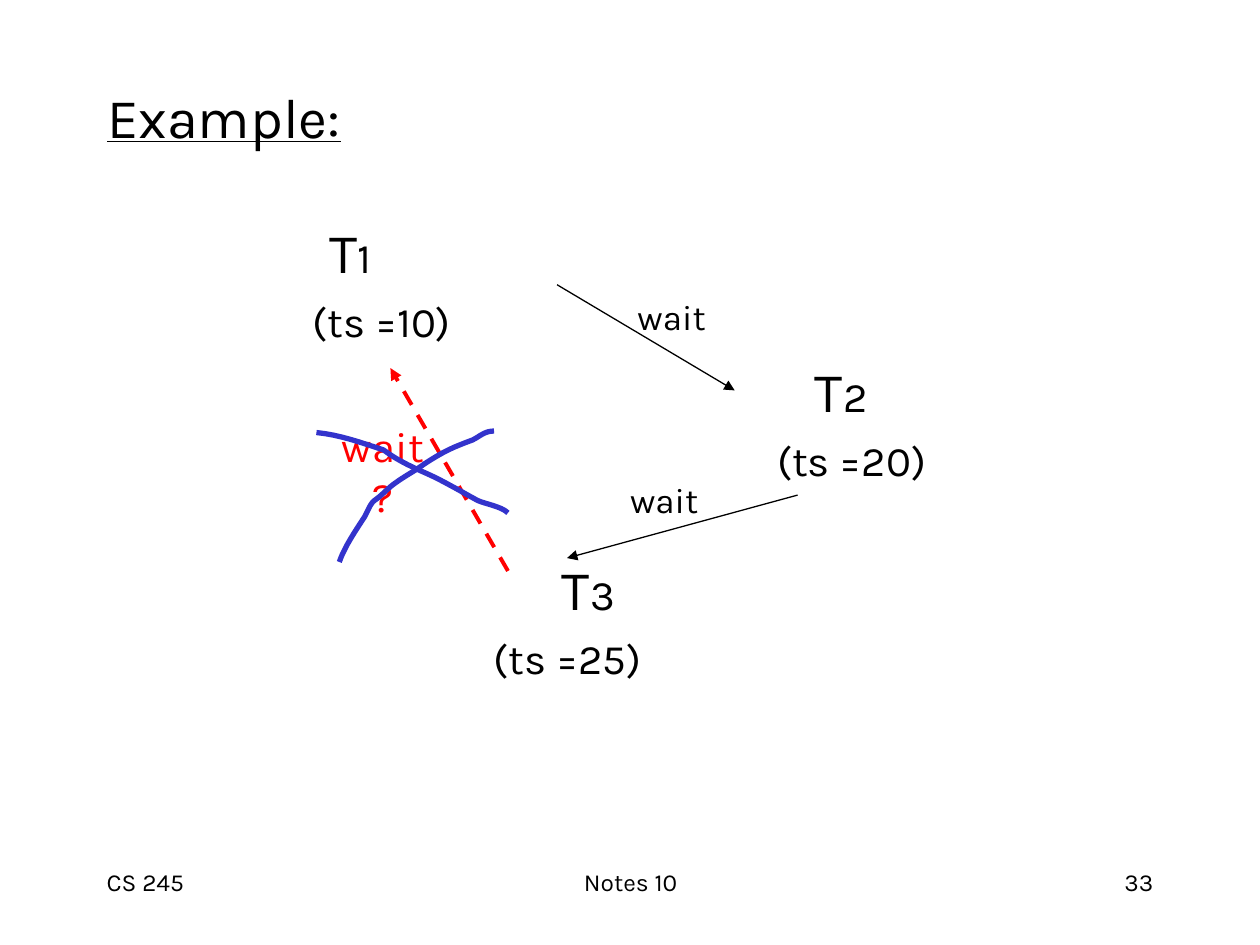
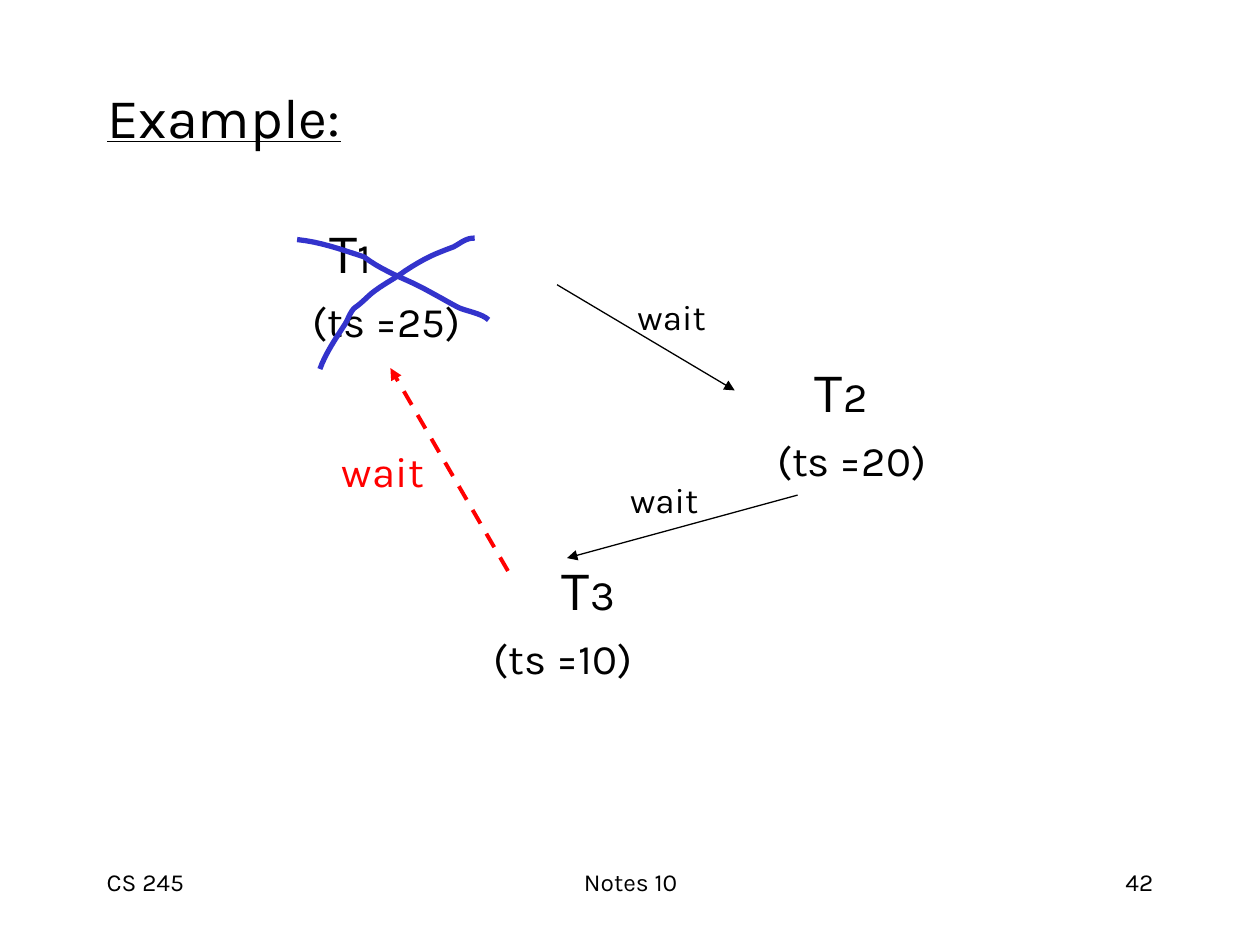
from lxml import etree
from pptx import Presentation
from pptx.dml.color import RGBColor
from pptx.enum.dml import MSO_LINE
from pptx.enum.shapes import MSO_CONNECTOR
from pptx.enum.text import MSO_ANCHOR, PP_ALIGN
from pptx.oxml.ns import qn
from pptx.util import Cm, Pt

BLACK = RGBColor(0x00, 0x00, 0x00)
RED = RGBColor(0xFF, 0x00, 0x00)
BLUE = RGBColor(0x33, 0x33, 0xCC)
FONT = "Karla"
LEFT, CENTER, RIGHT = PP_ALIGN.LEFT, PP_ALIGN.CENTER, PP_ALIGN.RIGHT
TOP, MIDDLE = MSO_ANCHOR.TOP, MSO_ANCHOR.MIDDLE
STRAIGHT = MSO_CONNECTOR.STRAIGHT
DASH = MSO_LINE.DASH

NODE_SIZE, DETAIL_SIZE = 32, 24
ROW_GAP, T3_GAP = 6, 40
NODE_LAYOUT = [
    ("1", 1.31, 0.97, 0),
    ("2", 11.1, 10.34, ROW_GAP),
    ("3", 6, 4.62, T3_GAP),
]

CURVE_STEPS = 8
RISING_STROKE = [
    (0.46, 2.64),
    (0.58, 2.31), (0.79, 2.01), (0.97, 1.73),
    (1.02, 1.65), (1.09, 1.45), (1.17, 1.4),
    (1.32, 1.3), (1.45, 1.14), (1.6, 1.04),
    (1.78, 0.91), (2.01, 0.79), (2.18, 0.66),
    (2.57, 0.41), (2.74, 0.33), (3.15, 0.18),
    (3.3, 0.1), (3.4, 0), (3.58, 0),
]
FALLING_STROKE = [
    (0, 0.03),
    (0.48, 0.08), (0.89, 0.23), (1.35, 0.38),
    (1.65, 0.61), (2.01, 0.76), (2.34, 0.91),
    (2.67, 1.07), (2.95, 1.24), (3.25, 1.4),
    (3.4, 1.47), (3.73, 1.52), (3.86, 1.65),
]


def add_span(para, text, size=DETAIL_SIZE, color=BLACK, underline=False):
    span = para.add_run()
    span.text = text
    span.font.name = FONT
    span.font.size = Pt(size)
    span.font.color.rgb = color
    span.font.underline = underline


def add_box(page, area, anchor=TOP, wrap=True, side_margin=0.25):
    box = page.shapes.add_textbox(*(Cm(value) for value in area))
    frame = box.text_frame
    frame.word_wrap = wrap
    frame.vertical_anchor = anchor
    frame.margin_left = frame.margin_right = Cm(side_margin)
    return frame


def add_text(page, text, area, align=CENTER, anchor=MIDDLE, wrap=False,
             side_margin=0.25, **style):
    frame = add_box(page, area, anchor, wrap, side_margin)
    para = frame.paragraphs[0]
    para.alignment = align
    add_span(para, text, **style)


def add_row(frame, spans, indent, gap):
    first = not frame.paragraphs[0].runs
    para = frame.paragraphs[0] if first else frame.add_paragraph()
    para._p.get_or_add_pPr().set("marL", str(Cm(indent)))
    para.space_before = Pt(gap)
    for text, size in spans:
        add_span(para, text, size)


def add_nodes(page, stamps):
    frame = add_box(page, (5.08, 4.27, 15.67, 11.43))
    for (number, name_indent, stamp_indent, gap), stamp in zip(NODE_LAYOUT, stamps):
        add_row(frame, [("T", NODE_SIZE), (number, DETAIL_SIZE)], name_indent, gap)
        add_row(frame, [(f"(ts ={stamp})", DETAIL_SIZE)], stamp_indent, ROW_GAP)


def add_arrow(page, start, end, color=BLACK, width=0.75, dash=None):
    ends = (Cm(value) for value in (*start, *end))
    arrow = page.shapes.add_connector(STRAIGHT, *ends)
    arrow.line.color.rgb = color
    arrow.line.width = Pt(width)
    if dash:
        arrow.line.dash_style = dash
    etree.SubElement(arrow.line._get_or_add_ln(), qn("a:tailEnd"), type="triangle")
    etree.SubElement(arrow._element.spPr, qn("a:effectLst"))


def curve_points(stroke):
    points = [stroke[0]]
    for first in range(0, len(stroke) - 1, 3):
        controls = stroke[first:first + 4]
        for step in range(1, CURVE_STEPS + 1):
            t = step / CURVE_STEPS
            weights = ((1 - t) ** 3, 3 * t * (1 - t) ** 2, 3 * t ** 2 * (1 - t), t ** 3)
            points.append(tuple(
                sum(weight * value for weight, value in zip(weights, axis))
                for axis in zip(*controls)
            ))
    return points


def add_cross(page, left, top):
    for stroke in (RISING_STROKE, FALLING_STROKE):
        points = [(Cm(left + x), Cm(top + y)) for x, y in curve_points(stroke)]
        builder = page.shapes.build_freeform(*points[0])
        builder.add_line_segments(points[1:], close=False)
        shape = builder.convert_to_shape()
        shape.shadow.inherit = False
        shape.fill.background()
        shape.line.color.rgb = BLUE
        shape.line.width = Pt(3)


def add_footer(page, number):
    parts = [
        ("CS 245", 1.9, 5.29, LEFT),
        ("Notes 10", 8.69, 8.05, CENTER),
        (number, 18.21, 5.29, RIGHT),
    ]
    for text, left, width, align in parts:
        add_text(page, text, (left, 17.35, width, 1.27), align=align,
                 anchor=TOP, wrap=True, size=14)


def add_example(deck, number, stamps, question, cross_at):
    page = deck.slides.add_slide(deck.slide_layouts[6])
    add_footer(page, number)
    add_nodes(page, stamps)
    add_arrow(page, (11.23, 5.74), (14.81, 7.87))
    add_arrow(page, (16.08, 9.98), (11.43, 11.25))
    for left, top in ((12.6, 5.82), (12.45, 9.5)):
        add_text(page, "wait", (left, top, 1.88, 1.12), size=20)
    add_text(page, "Example:", (1.85, 1.52, 5.33, 1.63), size=32, underline=True)
    add_arrow(page, (10.24, 11.51), (7.87, 7.42), color=RED, width=2.25, dash=DASH)
    add_text(page, question, (6.45, 8.86, 2.54, 1.27), wrap=True,
             side_margin=0.38, color=RED)
    add_cross(page, *cross_at)


def main():
    deck = Presentation()
    deck.slide_width = Cm(25.4)
    deck.slide_height = Cm(19.05)
    add_example(deck, "33", (10, 20, 25), "wait?", (6.38, 8.69))
    add_example(deck, "42", (25, 20, 10), "wait", (5.99, 4.8))
    deck.save("out.pptx")


if __name__ == "__main__":
    main()
